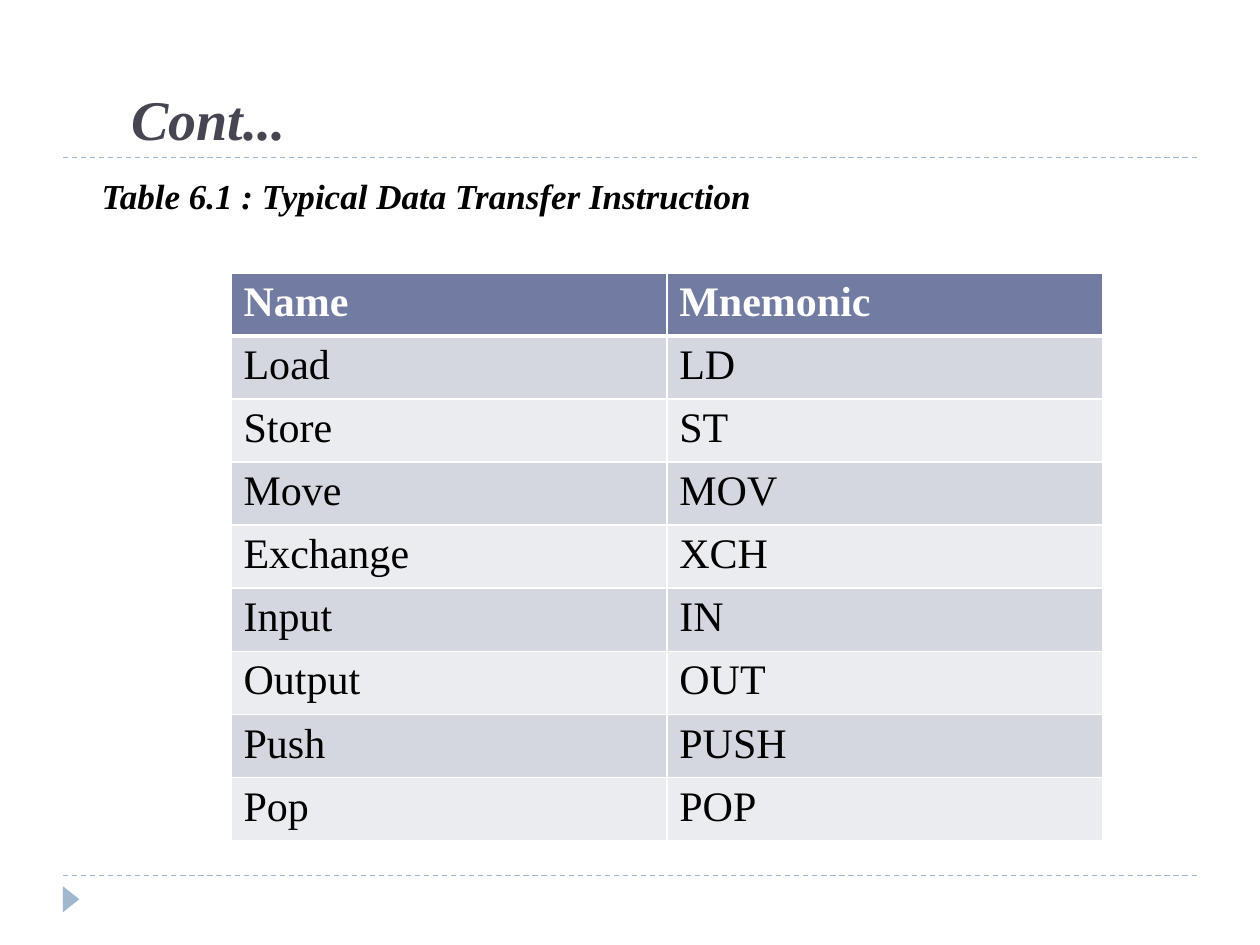
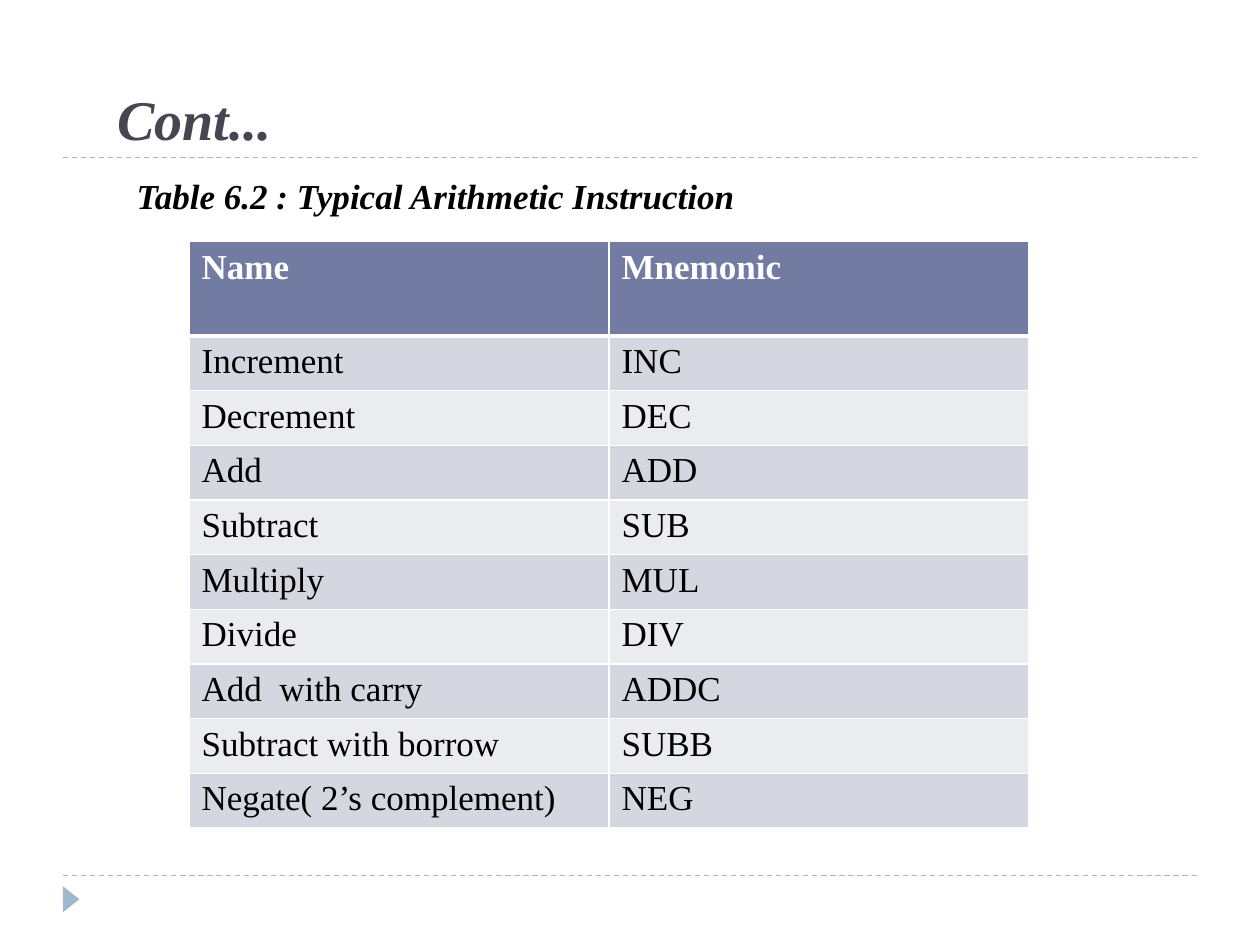
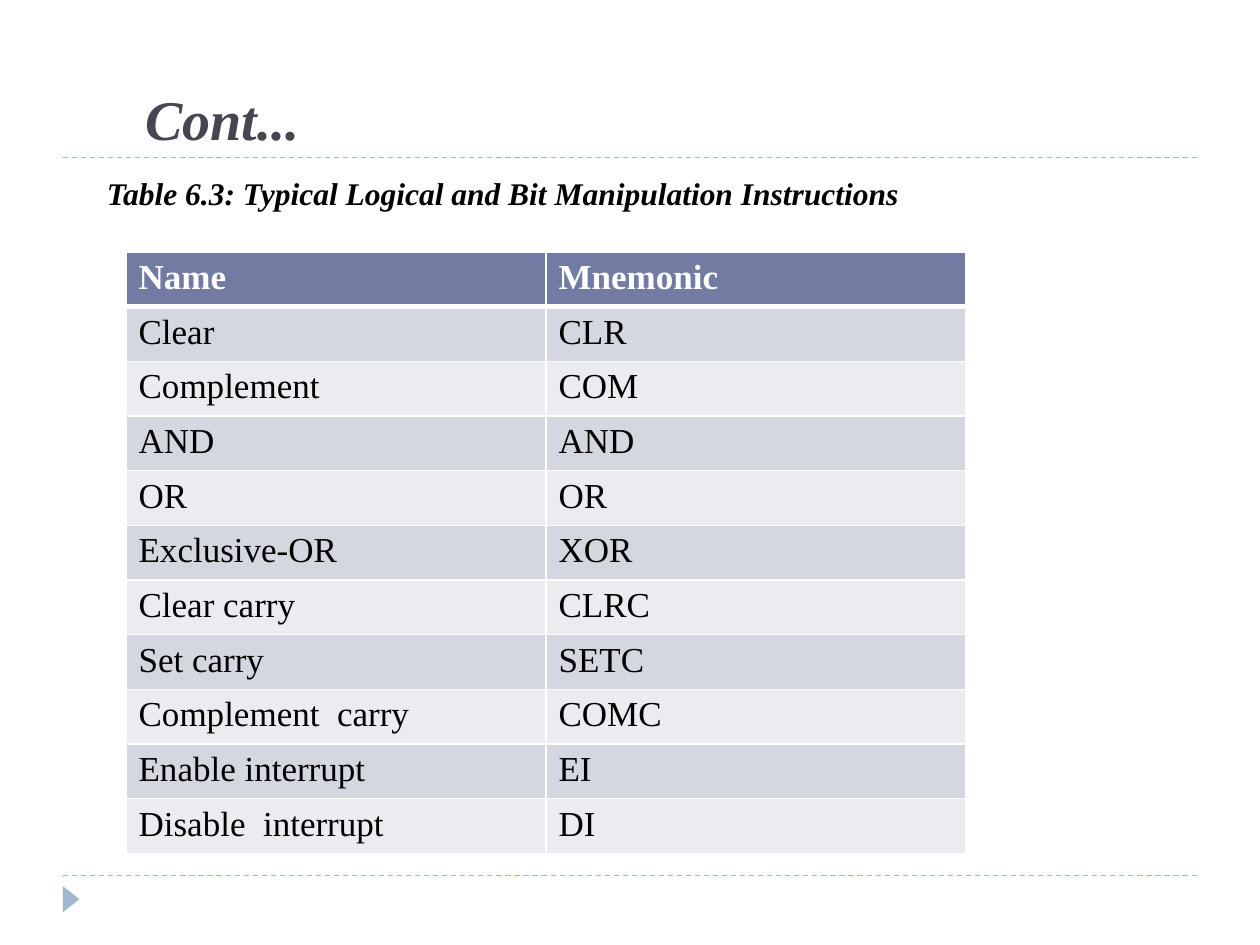
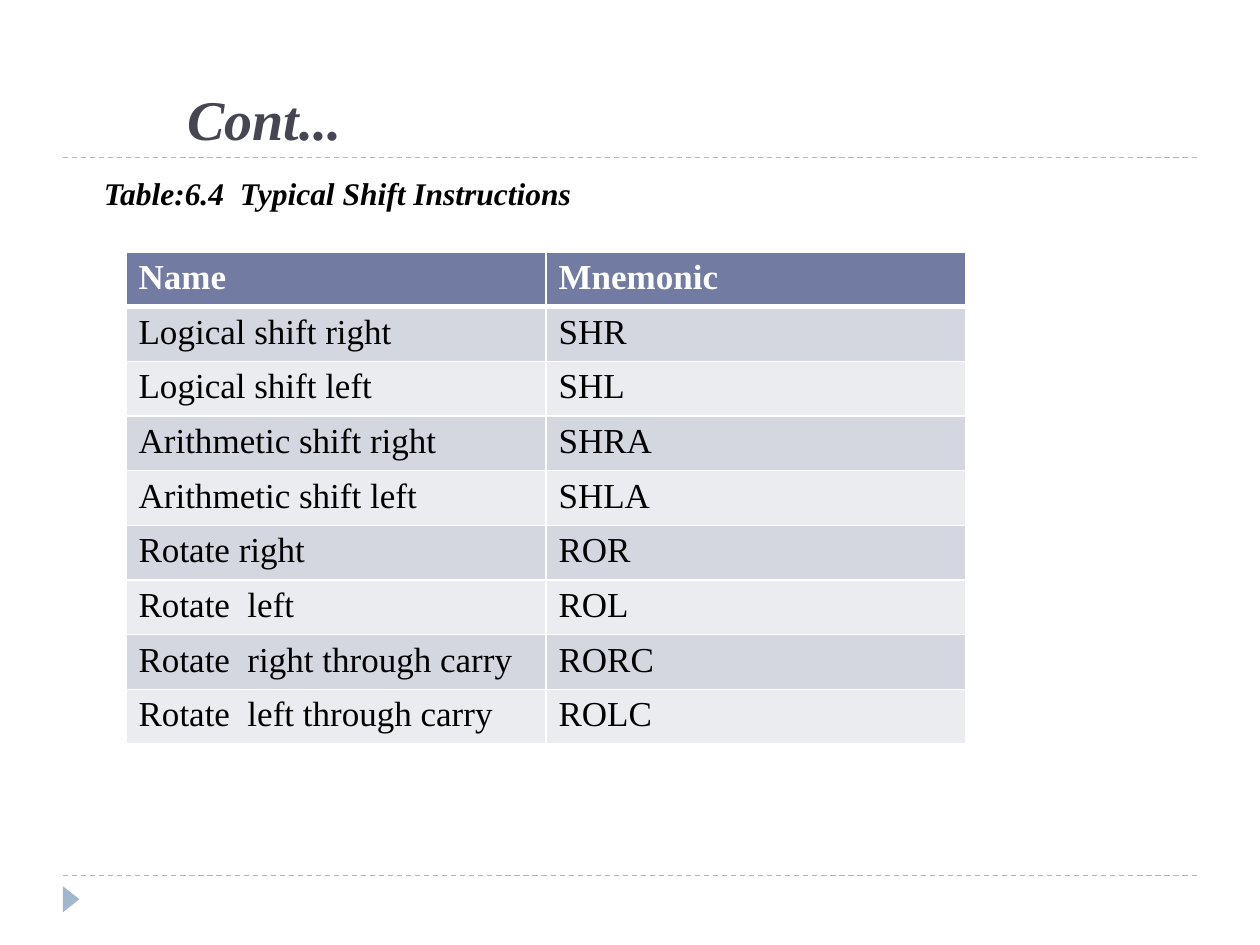
from lxml import etree
from pptx import Presentation
from pptx.dml.color import RGBColor
from pptx.enum.dml import MSO_LINE
from pptx.enum.shapes import MSO_CONNECTOR, MSO_SHAPE
from pptx.enum.text import MSO_ANCHOR
from pptx.oxml.ns import qn
from pptx.util import Pt

FONT = "Times New Roman"
COLORS = {
    "title": "464653",
    "text": "000000",
    "accent": "9FB8CD",
    "header": "727CA3",
    "band_dark": "D5D7E0",
    "band_light": "EBECF0",
    "white": "FFFFFF",
}
LEFT, WIDTH = 36, 648
RULES_Y = (500.4, 90)
HEADINGS = ("Name", "Mnemonic")

# Indents and all other lengths are in points.
SLIDES = [
    {
        "title_indent": 32,
        "caption": ("Table 6.1 : Typical Data Transfer Instruction", 20, 15),
        "table": {"left": 132, "top": 156, "col": 249, "header": 36, "row": 32.4, "size": 24},
        "rows": [
            ("Load", "LD"), ("Store", "ST"), ("Move", "MOV"), ("Exchange", "XCH"),
            ("Input", "IN"), ("Output", "OUT"), ("Push", "PUSH"), ("Pop", "POP"),
        ],
    },
    {
        "title_indent": 24,
        "caption": ("Table 6.2 : Typical Arithmetic Instruction", 20, 35),
        "table": {"left": 108, "top": 138, "header": 54},
        "rows": [
            ("Increment", "INC"), ("Decrement", "DEC"), ("Add", "ADD"),
            ("Subtract", "SUB"), ("Multiply", "MUL"), ("Divide", "DIV"),
            ("Add  with carry", "ADDC"), ("Subtract with borrow", "SUBB"),
            ("Negate( 2’s complement)", "NEG"),
        ],
    },
    {
        "title_indent": 40,
        "caption": ("Table 6.3: Typical Logical and Bit Manipulation Instructions", 18, 18),
        "table": {"left": 72, "top": 144},
        "rows": [
            ("Clear", "CLR"), ("Complement", "COM"), ("AND", "AND"), ("OR", "OR"),
            ("Exclusive-OR", "XOR"), ("Clear carry", "CLRC"), ("Set carry", "SETC"),
            ("Complement  carry", "COMC"), ("Enable interrupt", "EI"),
            ("Disable  interrupt", "DI"),
        ],
    },
    {
        "title_indent": 64,
        "caption": ("Table:6.4  Typical Shift Instructions", 18, 16.25),
        "table": {"left": 72, "top": 144},
        "rows": [
            ("Logical shift right", "SHR"), ("Logical shift left", "SHL"),
            ("Arithmetic shift right", "SHRA"), ("Arithmetic shift left", "SHLA"),
            ("Rotate right", "ROR"), ("Rotate  left", "ROL"),
            ("Rotate  right through carry", "RORC"),
            ("Rotate  left through carry", "ROLC"),
        ],
    },
]


def rgb(name):
    return RGBColor.from_string(COLORS[name])


class Deck:
    def __init__(self):
        self.prs = Presentation()
        self.prs.slide_width, self.prs.slide_height = Pt(720), Pt(540)
        self.slide = None

    def add_slide(self):
        """Start a slide with the dashed rules and the footer marker."""
        self.slide = self.prs.slides.add_slide(self.prs.slide_layouts[6])
        for y in RULES_Y:
            self.rule(y)
        self.marker()

    def rule(self, y):
        sp = self.slide.shapes.add_connector(
            MSO_CONNECTOR.STRAIGHT, Pt(LEFT), Pt(y), Pt(LEFT + WIDTH), Pt(y))
        sp.line.color.rgb = rgb("accent")
        sp.line.width = Pt(0.75)
        sp.line.dash_style = MSO_LINE.DASH
        etree.SubElement(sp._element.spPr, qn("a:effectLst"))

    def marker(self):
        sp = self.slide.shapes.add_shape(
            MSO_SHAPE.ISOSCELES_TRIANGLE, Pt(33.1), Pt(509.1), Pt(15), Pt(9.5))
        sp.rotation = 90
        sp.shadow.inherit = False
        sp.fill.solid()
        sp.fill.fore_color.rgb = rgb("accent")
        sp.line.fill.background()

    def style(self, p, size, color, bold=False, italic=False):
        p.font.name, p.font.size = FONT, Pt(size)
        p.font.bold, p.font.italic = bold, italic
        p.font.color.rgb = rgb(color)

    def text(self, text, top, height, size, color, indent, anchor, before=0):
        sp = self.slide.shapes.add_textbox(Pt(LEFT), Pt(top), Pt(WIDTH), Pt(height))
        tf = sp.text_frame
        tf.word_wrap = True
        tf.vertical_anchor = anchor
        p = tf.paragraphs[0]
        p.text = text
        p.space_before = Pt(before)
        self.style(p, size, color, bold=True, italic=True)
        p._p.get_or_add_pPr().set("marL", str(Pt(indent)))

    def title(self, text, indent):
        self.text(text, 12, 78, 32, "title", indent, MSO_ANCHOR.BOTTOM)

    def caption(self, text, size, indent):
        self.text(text, 96, 388.8, size, "text", indent, MSO_ANCHOR.TOP, before=6)

    def table(self, rows, left, top, col=240, header=29.25, row=29.45, size=20):
        count = len(rows) + 1
        table = self.slide.shapes.add_table(
            count, 2, Pt(left), Pt(top), Pt(2 * col), Pt(header + row * len(rows))).table
        for i, values in enumerate([HEADINGS, *rows]):
            table.rows[i].height = Pt(row if i else header)
            for cell, value in zip(table.rows[i].cells, values):
                self.cell(cell, value, i, size)

    def cell(self, cell, value, i, size):
        is_header = i == 0
        self.borders(cell, top=3 if i == 1 else 1, bottom=3 if is_header else 1)
        cell.fill.solid()
        band = "band_dark" if i % 2 else "band_light"
        cell.fill.fore_color.rgb = rgb("header" if is_header else band)
        p = cell.text_frame.paragraphs[0]
        p.text = value
        self.style(p, size, "white" if is_header else "text", bold=is_header)

    def borders(self, cell, top, bottom):
        tcPr = cell._tc.get_or_add_tcPr()
        for side, width in (("L", 1), ("R", 1), ("T", top), ("B", bottom)):
            ln = etree.SubElement(tcPr, qn(f"a:ln{side}"), w=str(Pt(width)))
            fill = etree.SubElement(ln, qn("a:solidFill"))
            etree.SubElement(fill, qn("a:srgbClr"), val=COLORS["white"])


def main():
    deck = Deck()
    for content in SLIDES:
        deck.add_slide()
        deck.title("Cont...", content["title_indent"])
        deck.caption(*content["caption"])
        deck.table(content["rows"], **content["table"])
    deck.prs.save("out.pptx")


if __name__ == "__main__":
    main()
